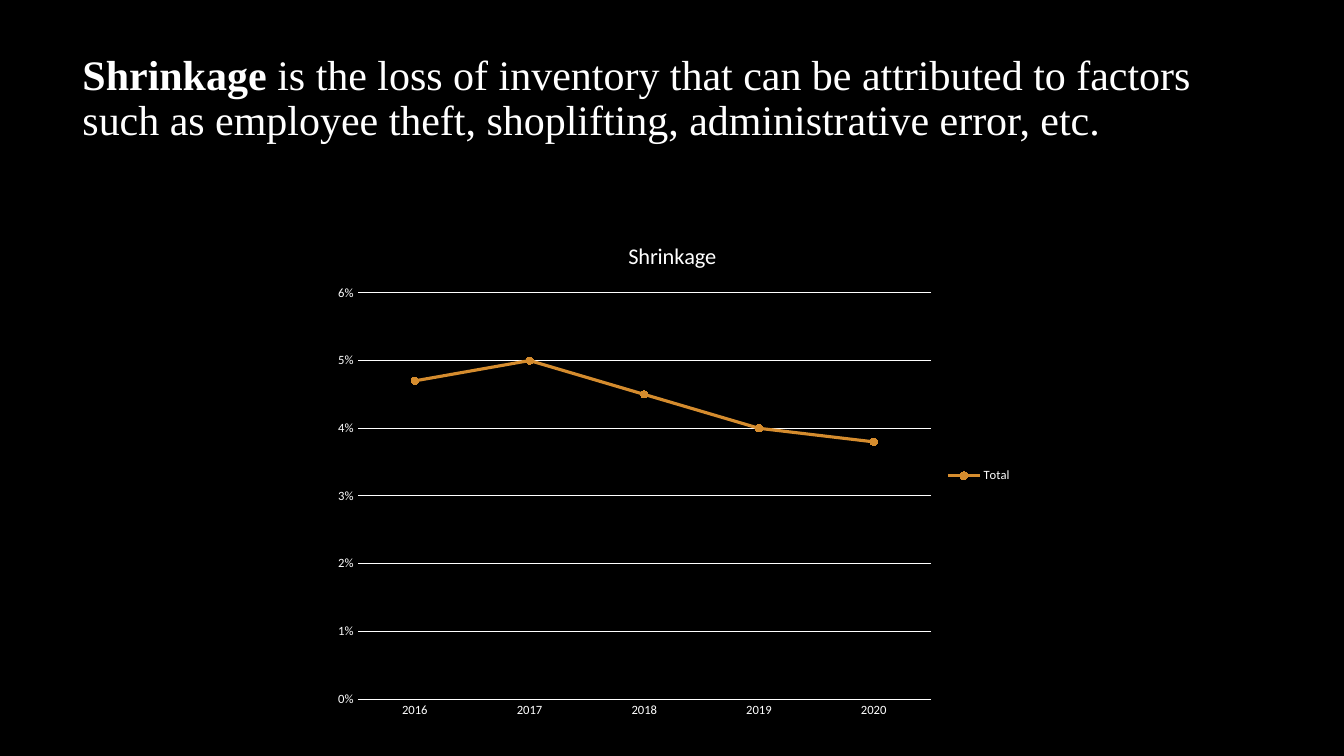
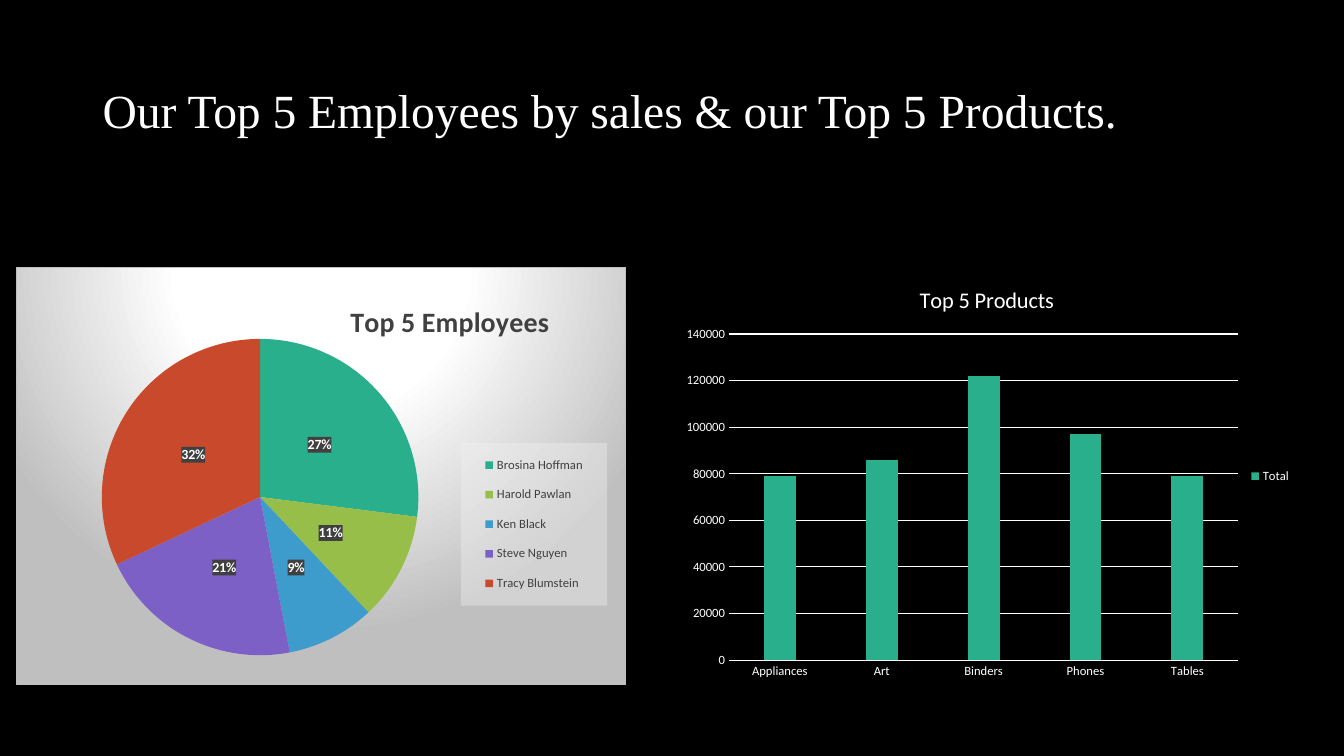
"""Builds two black slides about shrinkage, top employees and top products."""
from pptx import Presentation
from pptx.chart.data import CategoryChartData
from pptx.dml.color import RGBColor
from pptx.enum.chart import (XL_CHART_TYPE, XL_LABEL_POSITION, XL_LEGEND_POSITION,
                             XL_MARKER_STYLE, XL_TICK_MARK)
from pptx.enum.text import MSO_ANCHOR
from pptx.oxml import parse_xml
from pptx.oxml.ns import nsdecls, qn
from pptx.util import Pt

LINE = XL_CHART_TYPE.LINE_MARKERS_STACKED
PIE = XL_CHART_TYPE.PIE
COLUMN = XL_CHART_TYPE.COLUMN_CLUSTERED
RIGHT = XL_LEGEND_POSITION.RIGHT
CENTER = XL_LABEL_POSITION.CENTER
CIRCLE = XL_MARKER_STYLE.CIRCLE
NO_TICK = XL_TICK_MARK.NONE
MIDDLE = MSO_ANCHOR.MIDDLE

BLACK = RGBColor(0x00, 0x00, 0x00)
WHITE = RGBColor(0xFF, 0xFF, 0xFF)
DARK_GREY = RGBColor(0x40, 0x40, 0x40)
ORANGE = RGBColor(0xD5, 0x8C, 0x2E)
GREEN = RGBColor(0x29, 0xAF, 0x8C)
LIME = RGBColor(0x97, 0xBE, 0x49)
BLUE = RGBColor(0x3D, 0x9C, 0xCC)
PURPLE = RGBColor(0x7C, 0x60, 0xC6)
RED = RGBColor(0xC9, 0x49, 0x2C)

TITLE_FONT = "Times New Roman"
CHART_FONT = "Calibri"

CARD_FILL = """<a:gradFill><a:gsLst>
<a:gs pos="0"><a:srgbClr val="FFFFFF"/></a:gs>
<a:gs pos="39000"><a:srgbClr val="FFFFFF"/></a:gs>
<a:gs pos="100000"><a:srgbClr val="BFBFBF"/></a:gs></a:gsLst>
<a:path path="circle"><a:fillToRect l="50000" t="-80000" r="50000" b="180000"/></a:path>
</a:gradFill><a:ln w="9525"><a:solidFill><a:srgbClr val="BFBFBF"/></a:solidFill></a:ln>"""
CLEAR_FILL = '<a:solidFill><a:srgbClr val="{}"><a:alpha val="{}"/></a:srgbClr></a:solidFill>'


def add_text(para, text, size, color=WHITE, font=CHART_FONT, bold=False):
    span = para.add_run()
    span.text = text
    span.font.size = Pt(size)
    span.font.name = font
    span.font.bold = bold
    span.font.color.rgb = color


def add_chart(page, kind, area, title, series_name, values, layouts, top=None, step=None,
              number_format="General", title_size=16, text_color=WHITE, title_bold=False):
    data = CategoryChartData(number_format=number_format)
    data.categories = list(values)
    data.add_series(series_name, list(values.values()))
    chart = page.shapes.add_chart(kind, *[Pt(length) for length in area], data).chart
    chart.has_title = True
    add_text(chart.chart_title.text_frame.paragraphs[0], title, title_size,
             color=text_color, bold=title_bold)
    chart.has_legend = True
    chart.legend.position = RIGHT
    chart.legend.include_in_layout = False
    fonts = [(chart.font, 10, WHITE), (chart.legend.font, 9, text_color)]
    chart.plots[0].vary_by_categories = kind == PIE

    if top:
        scale = chart.value_axis
        scale.minimum_scale, scale.maximum_scale, scale.major_unit = 0, top, step
        scale.tick_labels.number_format = number_format
        scale.tick_labels.number_format_is_linked = False
        scale.format.line.fill.background()
        for axis in (chart.category_axis, scale):
            axis.major_tick_mark = axis.minor_tick_mark = NO_TICK
            fonts.append((axis.tick_labels.font, 9, WHITE))
        for line in (chart.category_axis.format.line, scale.major_gridlines.format.line):
            line.color.rgb = WHITE
            line.width = Pt(0.75)

    for font, size, color in fonts:
        font.name, font.size, font.bold = CHART_FONT, Pt(size), False
        font.color.rgb = color

    for tag, fractions in layouts.items():
        part = chart.element.find(".//" + qn(tag))
        for old in part.findall(qn("c:layout")):
            part.remove(old)
        is_plot = tag == "c:plotArea"
        target = '<c:layoutTarget val="inner"/>' if is_plot else ""
        modes = '<c:xMode val="edge"/><c:yMode val="edge"/>'
        sizes = "".join(f'<c:{key} val="{value}"/>' for key, value in zip("xywh", fractions))
        part.insert(0 if is_plot else 1, parse_xml(
            f'<c:layout {nsdecls("c")}><c:manualLayout>{target}{modes}{sizes}'
            '</c:manualLayout></c:layout>'))
    return chart


deck = Presentation()
deck.slide_width, deck.slide_height = Pt(960), Pt(540)

pages = []
for left, top, size, spans in [
    (51.84, 18.72, 30, [
        ("Shrinkage", True),
        (" is the loss of inventory that can be attributed to factors such as employee theft, "
         "shoplifting, administrative error, etc.", False)]),
    (66.24, 28.8, 34, [("Our Top 5 Employees by sales & our Top 5 Products.", False)]),
]:
    page = deck.slides.add_slide(deck.slide_layouts[6])
    page.background.fill.solid()
    page.background.fill.fore_color.rgb = BLACK
    frame = page.shapes.add_textbox(Pt(left), Pt(top), Pt(828), Pt(104.4)).text_frame
    frame.word_wrap = True
    frame.vertical_anchor = MIDDLE
    para = frame.paragraphs[0]
    para.line_spacing = 0.9
    for text, bold in spans:
        add_text(para, text, size, font=TITLE_FONT, bold=bold)
    pages.append(page)
shrinkage_page, top_five_page = pages

shrinkage = add_chart(
    shrinkage_page, LINE, (230.4, 158.4, 499.68, 362.88), "Shrinkage", "Total",
    {"2016": 0.047, "2017": 0.05, "2018": 0.045, "2019": 0.04, "2020": 0.038},
    {"c:plotArea": (0.05, 0.14, 0.82, 0.8)}, top=0.06, step=0.01, number_format="0%")
total = shrinkage.plots[0].series[0]
total.smooth = False
total.format.line.color.rgb = ORANGE
total.format.line.width = Pt(2.25)
total.marker.style = CIRCLE
total.marker.size = 5
total.marker.format.fill.solid()
total.marker.format.fill.fore_color.rgb = ORANGE
total.marker.format.line.color.rgb = ORANGE

employees = add_chart(
    top_five_page, PIE, (11.52, 190.8, 435.6, 298.8), "Top 5 Employees", "Series 1",
    {"Brosina Hoffman": 27, "Harold Pawlan": 11, "Ken Black": 9, "Steve Nguyen": 21,
     "Tracy Blumstein": 32},
    {"c:plotArea": (0.14, 0.17, 0.52, 0.76), "c:title": (0.54, 0.07),
     "c:legend": (0.73, 0.42, 0.24, 0.39)},
    title_size=20, text_color=DARK_GREY, title_bold=True)
pie = employees.plots[0]
for index, color in enumerate([GREEN, LIME, BLUE, PURPLE, RED]):
    fill = pie.series[0].points[index].format.fill
    fill.solid()
    fill.fore_color.rgb = color
pie.has_data_labels = True
labels = pie.data_labels
labels.show_value = False
labels.show_percentage = True
labels.number_format = "0%"
labels.number_format_is_linked = False
labels.position = CENTER
labels.font.name, labels.font.size, labels.font.bold = CHART_FONT, Pt(10), True
labels.font.color.rgb = WHITE

root = employees.element
for tag, fill in [
    ("c:dLbls/" + "c:txPr", CLEAR_FILL.format("404040", 90000)),
    ("c:legend/" + "c:txPr", CLEAR_FILL.format("F2F2F2", 39000)),
    ("c:chartSpace/" + "c:txPr", CARD_FILL),
]:
    owner, text_style = [qn(name) for name in tag.split("/")]
    parent = root if root.tag == owner else root.find(".//" + owner)
    if owner != qn("c:chartSpace"):
        parent = root.find(".//" + owner)
    parent.find(text_style).addprevious(
        parse_xml(f'<c:spPr {nsdecls("c", "a")}>{fill}</c:spPr>'))

products = add_chart(
    top_five_page, COLUMN, (480.24, 190.8, 449.28, 298.8), "Top 5 Products", "Total",
    {"Appliances": 79000, "Art": 86000, "Binders": 122000, "Phones": 97000, "Tables": 79000},
    {"c:plotArea": (0.09, 0.16, 0.81, 0.78)}, top=140000, step=20000)
columns = products.plots[0]
columns.gap_width = 219
columns.overlap = -27
columns.series[0].format.fill.solid()
columns.series[0].format.fill.fore_color.rgb = GREEN

deck.save("out.pptx")
